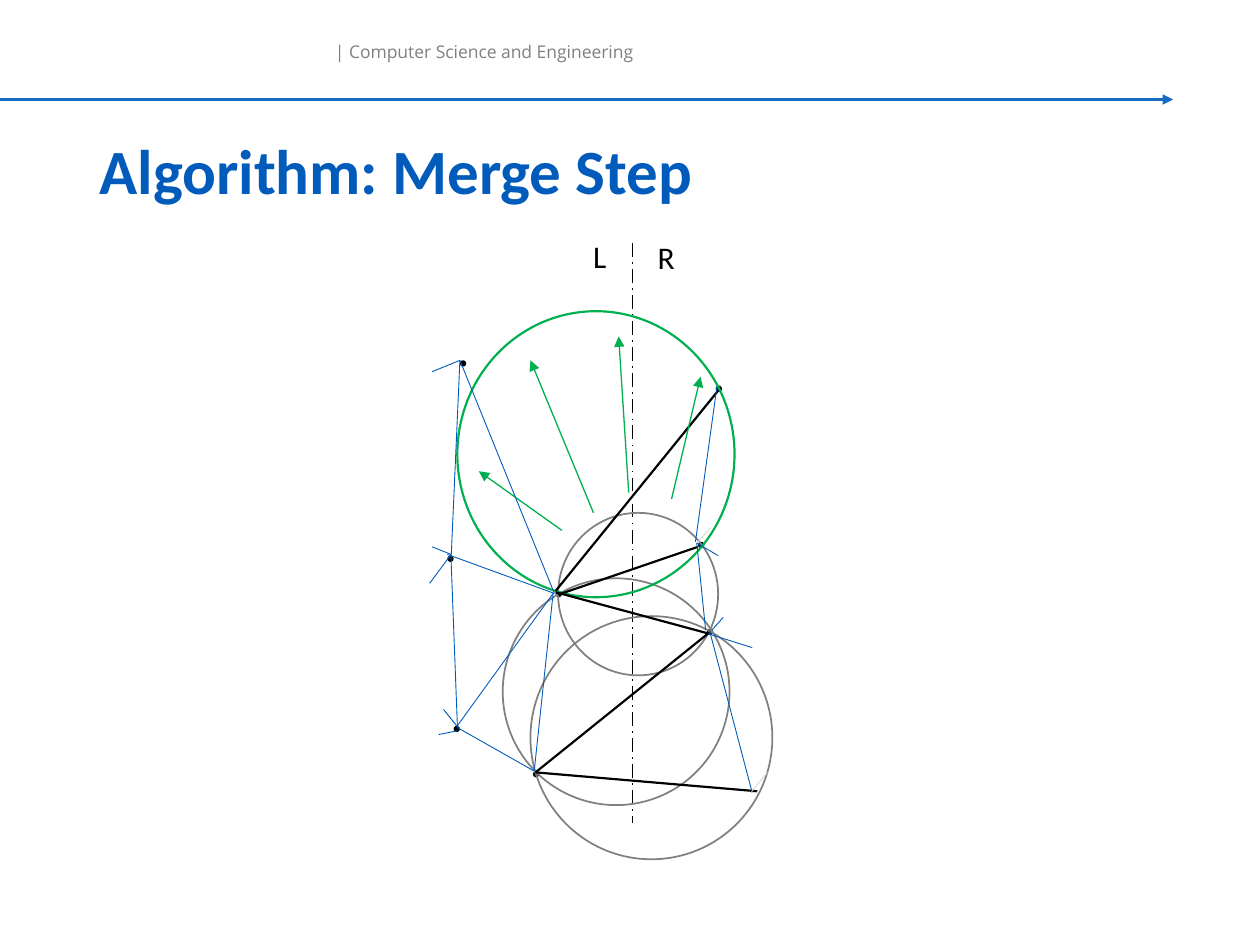
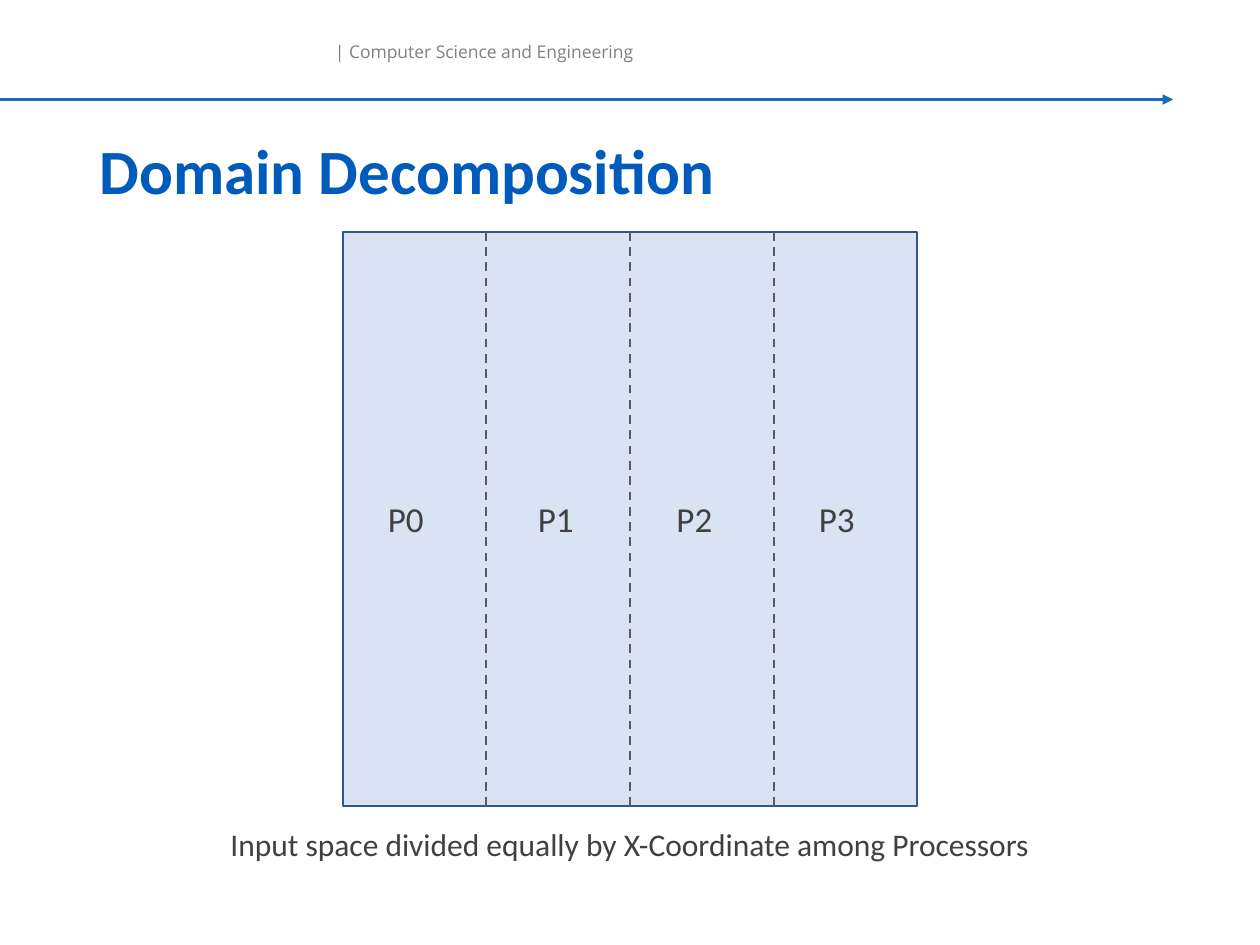
"""Build two slides on a parallel merge step and its domain decomposition."""
from lxml import etree
from pptx import Presentation
from pptx.dml.color import RGBColor
from pptx.enum.dml import MSO_LINE
from pptx.enum.shapes import MSO_CONNECTOR, MSO_SHAPE
from pptx.enum.text import MSO_ANCHOR, MSO_AUTO_SIZE, PP_ALIGN
from pptx.oxml.ns import qn
from pptx.util import Inches, Pt

STRAIGHT = MSO_CONNECTOR.STRAIGHT
OVAL, SQUARE = MSO_SHAPE.OVAL, MSO_SHAPE.RECTANGLE
DASH, LONG_DASH_DOT = MSO_LINE.DASH, MSO_LINE.LONG_DASH_DOT
LEFT, CENTER = PP_ALIGN.LEFT, PP_ALIGN.CENTER
MIDDLE = MSO_ANCHOR.MIDDLE
FIT_SHAPE, NO_FIT = MSO_AUTO_SIZE.SHAPE_TO_FIT_TEXT, MSO_AUTO_SIZE.NONE

WIDTH, HEIGHT = 10, 7.5
BLUE, GREEN, BLACK = "005BBB", "00B050", "000000"
GRAY, PALE, INK, DIVIDER = "808080", "D9D9D9", "404040", "595959"
PANEL_FILL, PANEL_EDGE = "DAE3F3", "325491"
BODY_FONT, HEADER_FONT = "Calibri", "Open Sans"

DEPARTMENT = "| Computer Science and Engineering"
TITLE_BOX = (0.69, 0.94, 8.62, 0.89)
RULE_Y, RULE_END = 0.79, 9.31

MERGE_TITLE = "Algorithm: Merge Step"
SIDES = [("L", 4.61, 1.83), ("R", 5.12, 1.84)]
SPLIT = (5.02, 1.93, 5.02, 6.53)
DOT_SIZE = 0.05
SITES = [(4.23, 6.12), (5.61, 4.99), (5.54, 4.3), (5.68, 3.06),
         (3.6, 5.76), (3.55, 4.41), (3.65, 2.86), (4.41, 4.69)]
PAST_CIRCLES = [(4.21, 4.89, 1.92, 1.93), (3.99, 4.59, 1.8, 1.8),
                (4.43, 4.07, 1.27, 1.29)]
RISING_CIRCLE = (3.63, 2.47, 2.2, 2.27)
CROSS_EDGES = [(4.25, 6.13, 6.01, 6.28), (4.25, 6.13, 5.63, 5.02),
               (4.41, 4.7, 5.63, 5.03), (4.43, 4.72, 5.54, 4.34),
               (4.41, 4.69, 5.7, 3.1)]
GROWTH_ARROWS = [(4.71, 4.07, 4.21, 2.86), (4.99, 3.91, 4.91, 2.67),
                 (5.33, 3.96, 5.56, 2.99), (4.46, 4.21, 3.8, 3.74)]
FADED_EDGES = [(5.53, 4.31, 5.64, 4.19), (5.96, 6.29, 6.09, 6.13)]
RIGHT_MESH = [(5.69, 3.07, 5.52, 4.3), (5.53, 4.31, 5.6, 5),
              (5.63, 5, 5.97, 6.29), (5.65, 5, 5.74, 4.9),
              (5.53, 4.31, 5.7, 4.41), (5.62, 5.03, 5.97, 5.14)]
LEFT_MESH = [(3.65, 2.86, 4.4, 4.71), (3.55, 4.4, 4.4, 4.71),
             (3.65, 2.86, 3.58, 4.44), (4.39, 4.71, 3.63, 5.76),
             (4.39, 4.71, 4.24, 6.12), (4.24, 6.12, 3.64, 5.78),
             (3.63, 5.76, 3.58, 4.44), (3.65, 2.86, 3.43, 2.95),
             (3.58, 4.4, 3.43, 4.34), (3.58, 4.4, 3.41, 4.63),
             (3.64, 5.78, 3.52, 5.63), (3.63, 5.8, 3.48, 5.83)]

DOMAIN_TITLE = "Domain Decomposition"
PROCESSORS = [("P0", 2.98), ("P1", 4.17), ("P2", 5.27), ("P3", 6.4)]
DOMAIN_TOP, DOMAIN_SIDE = 1.84, 4.56
CAPTION = "Input space divided equally by X-Coordinate among Processors"
CAPTION_WIDTH = 6.86


def rgb(color):
    return RGBColor.from_string(color)


def inches(lengths):
    return [Inches(length) for length in lengths]


def write(frame, text, size, color, font=BODY_FONT, align=LEFT, bold=False):
    frame.text = text
    frame.word_wrap = True
    paragraph = frame.paragraphs[0]
    paragraph.alignment = align
    style = paragraph.runs[0].font
    style.name, style.size, style.bold = font, Pt(size), bold
    style.color.rgb = rgb(color)
    return paragraph


def add_text(slide, box, text, size, color, **style):
    frame = slide.shapes.add_textbox(*inches(box)).text_frame
    write(frame, text, size, color, **style)
    frame.auto_size = FIT_SHAPE


def add_line(slide, ends, color, weight, dash=None, arrow=False, opacity=None):
    connector = slide.shapes.add_connector(STRAIGHT, *inches(ends))
    line = connector.line
    line.color.rgb = rgb(color)
    line.width = Pt(weight)
    if dash:
        line.dash_style = dash
    properties = connector._element.spPr
    outline = properties.find(qn("a:ln"))
    if arrow:
        etree.SubElement(outline, qn("a:tailEnd"), type="triangle")
    if opacity:
        tint = outline.find(".//" + qn("a:srgbClr"))
        etree.SubElement(tint, qn("a:alpha"), val=str(opacity * 1000))
    etree.SubElement(properties, qn("a:effectLst"))


def add_figure(slide, kind, box, fill=None, edge=None, weight=1):
    figure = slide.shapes.add_shape(kind, *inches(box))
    figure.shadow.inherit = False
    if fill:
        figure.fill.solid()
        figure.fill.fore_color.rgb = rgb(fill)
    else:
        figure.fill.background()
    if edge:
        figure.line.color.rgb = rgb(edge)
        figure.line.width = Pt(weight)
    else:
        figure.line.fill.background()


def start_slide(deck, title):
    slide = deck.slides.add_slide(deck.slide_layouts[5])
    heading = slide.shapes.title
    heading.left, heading.top, heading.width, heading.height = inches(TITLE_BOX)
    paragraph = write(heading.text_frame, title, 36, BLUE, bold=True)
    paragraph.line_spacing = 0.9
    heading.text_frame.vertical_anchor = MIDDLE
    heading.text_frame.auto_size = NO_FIT
    add_line(slide, (0, RULE_Y, RULE_END, RULE_Y), BLUE, 1.5, arrow=True, opacity=90)
    add_text(slide, (2.56, 0.28, 4.05, 0.27), DEPARTMENT, 10, GRAY, font=HEADER_FONT)
    return slide


def build_merge_step(deck):
    slide = start_slide(deck, MERGE_TITLE)
    add_line(slide, SPLIT, BLACK, 1, dash=LONG_DASH_DOT)
    for site in SITES:
        add_figure(slide, OVAL, (*site, DOT_SIZE, DOT_SIZE), fill=BLACK)
    for circle in PAST_CIRCLES:
        add_figure(slide, OVAL, circle, edge=GRAY)
    add_figure(slide, OVAL, RISING_CIRCLE, edge=GREEN, weight=1.25)
    for edges, color, weight, arrow in [
        (CROSS_EDGES, BLACK, 1.25, False),
        (GROWTH_ARROWS, GREEN, 0.75, True),
        (FADED_EDGES, PALE, 0.5, False),
        (RIGHT_MESH + LEFT_MESH, BLUE, 0.5, False),
    ]:
        for ends in edges:
            add_line(slide, ends, color, weight, arrow=arrow)
    for side, left, top in SIDES:
        add_text(slide, (left, top, 0.42, 0.4), side, 18, BLACK)


def build_domain(deck):
    slide = start_slide(deck, DOMAIN_TITLE)
    left = (WIDTH - DOMAIN_SIDE) / 2
    bottom = DOMAIN_TOP + DOMAIN_SIDE
    strip = DOMAIN_SIDE / len(PROCESSORS)
    add_figure(slide, SQUARE, (left, DOMAIN_TOP, DOMAIN_SIDE, DOMAIN_SIDE),
               fill=PANEL_FILL, edge=PANEL_EDGE)
    for column in range(1, len(PROCESSORS)):
        x = left + column * strip
        add_line(slide, (x, DOMAIN_TOP, x, bottom), DIVIDER, 1.25, dash=DASH)
    for processor, label_left in PROCESSORS:
        add_text(slide, (label_left, 3.9, 0.51, 0.44), processor, 20, INK)
    caption_left = (WIDTH - CAPTION_WIDTH) / 2
    add_text(slide, (caption_left, bottom + 0.1, CAPTION_WIDTH, 0.4),
             CAPTION, 18, INK, align=CENTER)


def main():
    deck = Presentation()
    deck.slide_width, deck.slide_height = inches((WIDTH, HEIGHT))
    build_merge_step(deck)
    build_domain(deck)
    deck.save("out.pptx")


if __name__ == "__main__":
    main()
